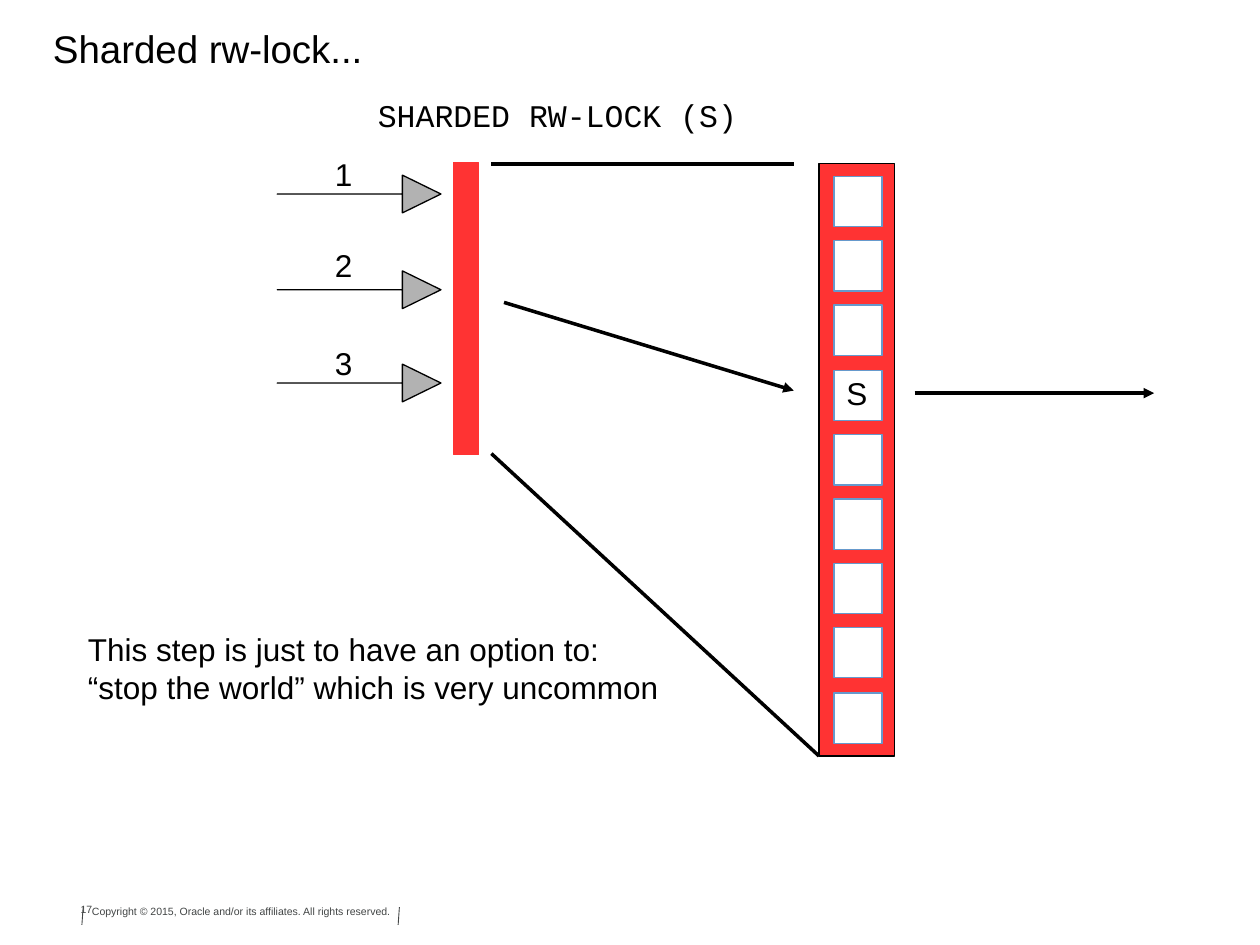
from lxml.etree import SubElement
from pptx import Presentation
from pptx.dml.color import RGBColor
from pptx.enum.shapes import MSO_CONNECTOR, MSO_SHAPE
from pptx.enum.text import MSO_ANCHOR, PP_ALIGN
from pptx.oxml.ns import qn
from pptx.util import Emu, Pt

SCALE = 9144  # EMU per px, 100 px to the inch
BLACK, WHITE, RED = "000000", "FFFFFF", "FF3333"
SILVER, BLUE, SLATE = "B2B2B2", "6699CC", "424545"


def px(*vals):
    return [Emu(v * SCALE) for v in vals]


def color(code):
    return RGBColor.from_string(code)


def write(frame, text, size=18, font="Arial", ink=BLACK, align=PP_ALIGN.LEFT,
          anchor=MSO_ANCHOR.MIDDLE, wrap=False, pad=(10, 5)):
    """Fill a text frame, one paragraph per line of text."""
    frame.word_wrap = wrap
    frame.vertical_anchor = anchor
    frame.margin_left, frame.margin_top = px(*pad)
    frame.margin_right, frame.margin_bottom = px(*pad)
    frame.text = text
    for para in frame.paragraphs:
        para.alignment = align
        para.font.size = Pt(size)
        para.font.name = font
        para.font.color.rgb = color(ink)


class Board:
    """Holds the current slide and the hairline style of its drawing."""

    def __init__(self, slide, line=BLACK, width=0):
        self.slide = slide
        self.line = line
        self.width = width

    def title(self, text, box, **look):
        shape = self.slide.shapes.title
        shape.left, shape.top, shape.width, shape.height = px(*box)
        write(shape.text_frame, text, **look)

    def text(self, text, box, **look):
        shape = self.slide.shapes.add_textbox(*px(*box))
        write(shape.text_frame, text, **look)

    def shape(self, box, fill, line=None, kind=MSO_SHAPE.RECTANGLE):
        shape = self.slide.shapes.add_shape(kind, *px(*box))
        shape.shadow.inherit = False
        shape.fill.solid()
        shape.fill.fore_color.rgb = color(fill)
        shape.line.color.rgb = color(line or self.line)
        shape.line.width = Pt(self.width)
        return shape

    def arrow(self, box):
        """Draw a block arrow whose shaft is a bare line."""
        shape = self.shape(box, SILVER, kind=MSO_SHAPE.RIGHT_ARROW)
        shape.adjustments[0] = 0
        shape.adjustments[1] = 1.02

    def link(self, start, end, line=None, width=None, head=False):
        link = self.slide.shapes.add_connector(
            MSO_CONNECTOR.STRAIGHT, *px(*start, *end))
        link.line.color.rgb = color(line or self.line)
        link.line.width = Pt(self.width if width is None else width)
        if head:
            SubElement(link.line._get_or_add_ln(), qn("a:tailEnd"), type="triangle")
        SubElement(link._element.spPr, qn("a:effectLst"))


def main():
    deck = Presentation()
    deck.slide_width, deck.slide_height = px(1000, 750)
    board = Board(deck.slides.add_slide(deck.slide_layouts[5]))

    # Footer
    small = dict(size=6, ink=SLATE, anchor=MSO_ANCHOR.TOP)
    board.text("Copyright © 2015, Oracle and/or its affiliates. All rights reserved.",
               (69, 716, 274, 32), pad=(4, 2), wrap=True, **small)
    for x in (66, 317):
        board.link((x, 720), (x - 1, 734), line=SLATE, width=0.5)
    board.text("17", (25, 712, 58, 20), align=PP_ALIGN.RIGHT, **small)

    # Headings
    board.title("Sharded rw-lock...", (32, 16, 747, 44), size=22)
    board.text("SHARDED RW-LOCK (S)", (290, 72, 305, 38), font="Courier New")

    # Requests reaching the lock
    board.shape((360, 129, 20, 232), RED, RED)
    for num, top, label in ((1, 139, 119), (2, 215, 191), (3, 289, 269)):
        board.arrow((220, top, 130, 30))
        board.text(str(num), (256, label, 34, 38))

    # The lock opened up into shards
    board.shape((650, 130, 60, 470), RED)
    board.link((390, 360), (650, 600))
    board.link((390, 130), (630, 130))
    for i in range(9):
        board.shape((662, 140 + round(i * 51.2), 38, 40), WHITE, BLUE)
    board.link((400, 240), (630, 310), head=True)
    board.link((726, 312), (916, 312), head=True)
    board.text("S", (662, 293, 36, 38))

    board.text("This step is just to have an option to:\n"
               "“stop the world” which is very uncommon",
               (60, 410, 490, 240), wrap=True)
    deck.save("out.pptx")


if __name__ == "__main__":
    main()
